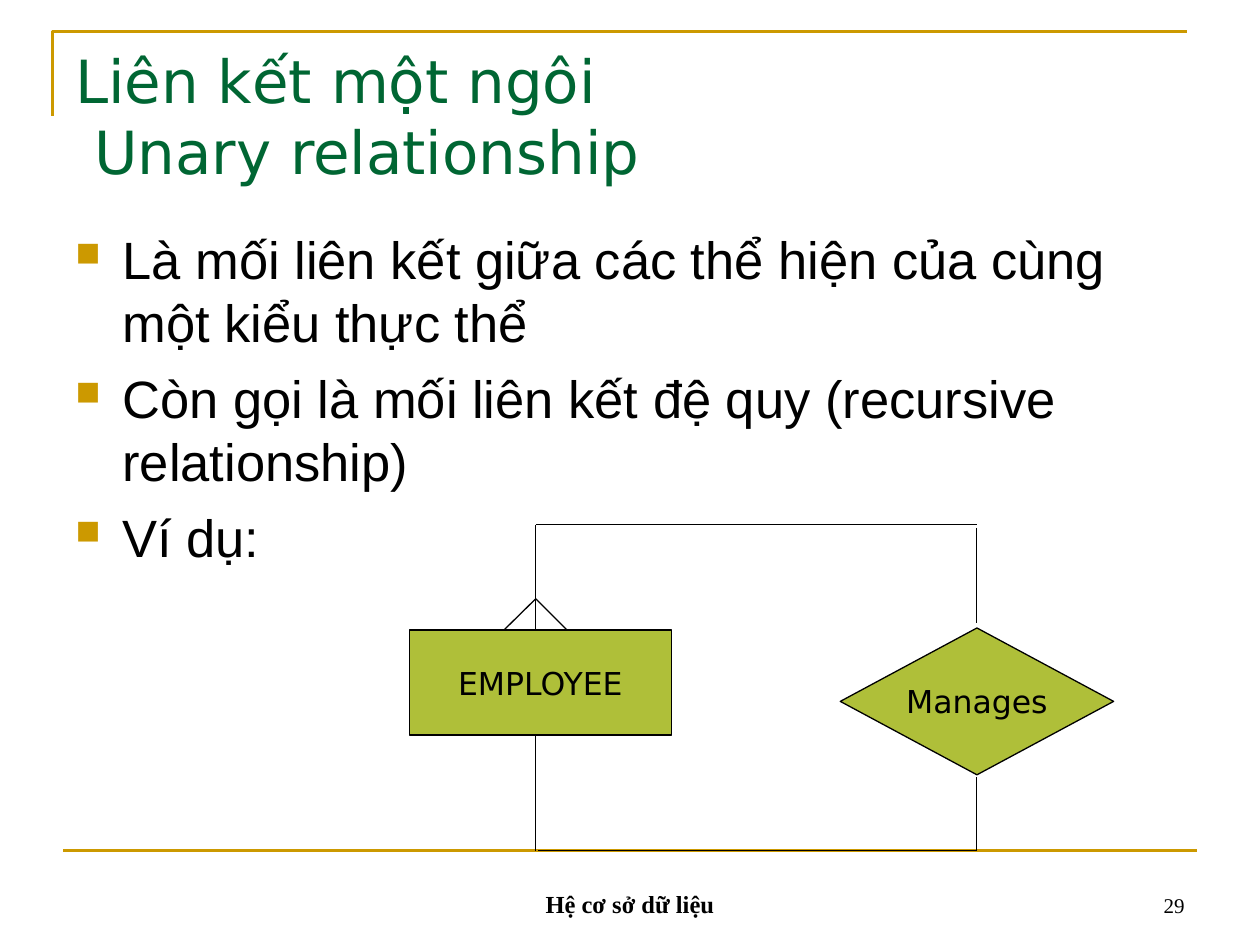
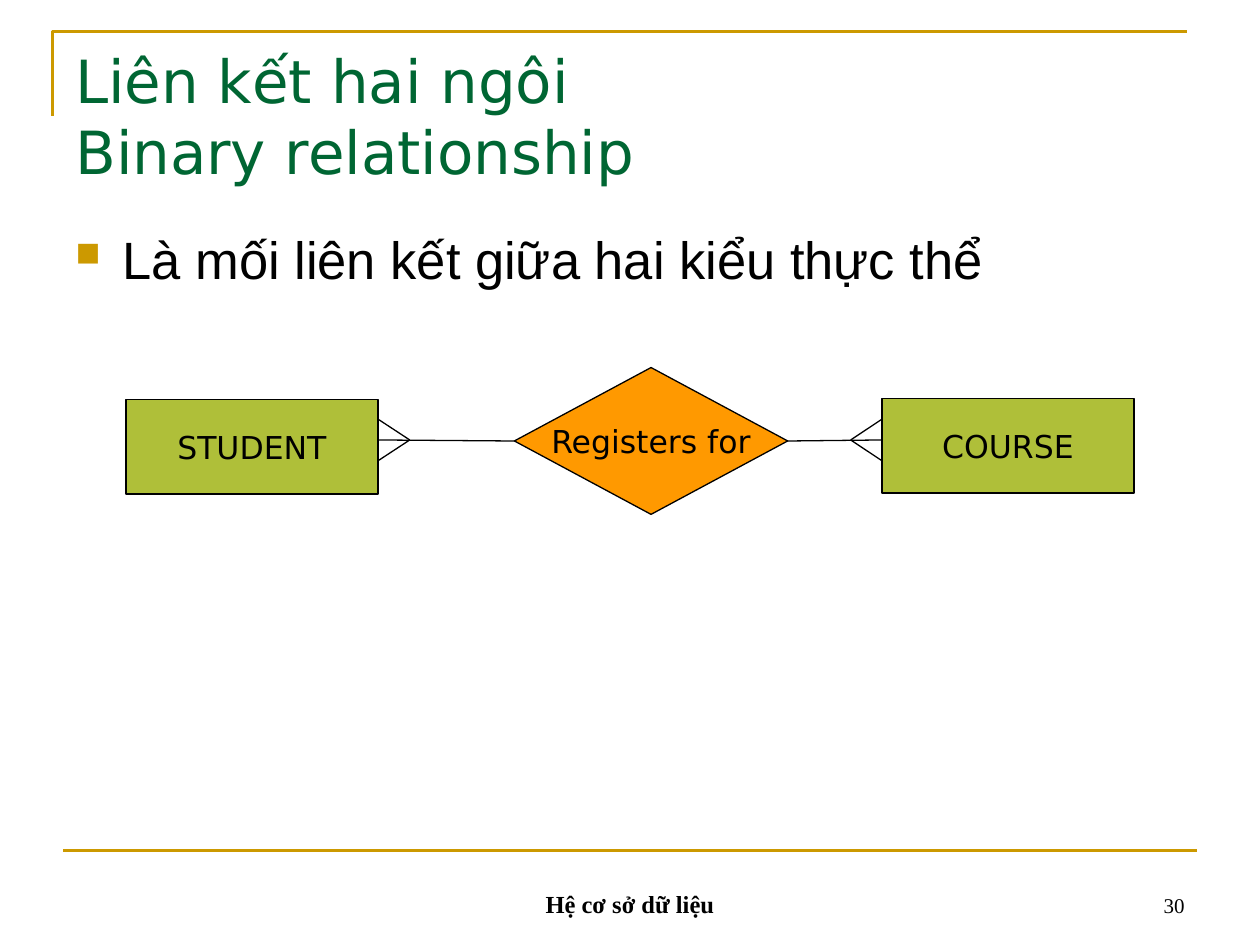
from lxml import etree
from pptx import Presentation
from pptx.dml.color import RGBColor
from pptx.enum.shapes import MSO_CONNECTOR, MSO_SHAPE
from pptx.enum.text import MSO_ANCHOR as ANC, PP_ALIGN as AL
from pptx.oxml.ns import qn
from pptx.util import Cm, Pt

GOLD = RGBColor(0xCC, 0x99, 0x00)
GREEN = RGBColor(0x00, 0x66, 0x33)
OLIVE = RGBColor(0xAF, 0xBF, 0x39)
ORANGE = RGBColor(0xFF, 0x99, 0x00)
BLACK = RGBColor(0x00, 0x00, 0x00)

# Text styles
TITLE = dict(size=Pt(34), name="DejaVu Sans", color=GREEN)
BODY = dict(size=Pt(30), name="Arial", color=BLACK)
LABEL = dict(size=Pt(18), name="DejaVu Sans", color=BLACK)
FOOTER = dict(size=Pt(14), name="Times New Roman", color=BLACK, bold=True)
NUMBER = dict(size=Pt(12), name="Times New Roman", color=BLACK)

RECT, DIAMOND = MSO_SHAPE.RECTANGLE, MSO_SHAPE.DIAMOND

# Slide content, lengths in cm
# nodes: label, shape, fill, left, top, width, height
# lines: x1, y1, x2, y2; links: node label, side, x, y of the free end
SLIDES = [
    dict(
        number=29,
        title="Liên kết một ngôi \n Unary relationship",
        bullets=["Là mối liên kết giữa các thể hiện của cùng một kiểu thực thể",
                 "Còn gọi là mối liên kết đệ quy (recursive relationship)",
                 "Ví dụ:"],
        nodes=[("EMPLOYEE", RECT, OLIVE, 8.25, 12.7, 5.29, 2.12),
               ("Manages", DIAMOND, OLIVE, 16.94, 12.66, 5.51, 2.96)],
        lines=[(10.8, 12.7, 10.8, 10.58), (10.8, 10.58, 19.69, 10.58),
               (19.69, 10.64, 19.69, 12.55), (10.8, 14.82, 10.8, 17.15),
               (10.85, 17.15, 19.69, 17.15), (19.69, 15.67, 19.69, 17.15),
               (10.8, 12.07, 10.16, 12.7), (10.8, 12.07, 11.43, 12.7)],
        links=[],
    ),
    dict(
        number=30,
        title="Liên kết hai ngôi\nBinary relationship",
        bullets=["Là mối liên kết giữa hai kiểu thực thể"],
        nodes=[("STUDENT", RECT, OLIVE, 2.54, 8.05, 5.08, 1.91),
               ("COURSE", RECT, OLIVE, 17.78, 8.03, 5.08, 1.91),
               ("Registers for", DIAMOND, ORANGE, 10.37, 7.41, 5.51, 2.96)],
        lines=[(tip, 8.87, side, y) for tip, side in ((8.26, 7.62), (17.15, 17.78))
               for y in (8.45, 9.29)],
        links=[("Registers for", 1, 7.62, 8.87), ("Registers for", 3, 17.78, 8.87)],
    ),
]


def write(sp, texts, fmt, align=AL.LEFT, anchor=ANC.TOP, wrap=True):
    tf = sp.text_frame
    tf.word_wrap, tf.vertical_anchor = wrap, anchor
    for i, text in enumerate(texts):
        p = tf.add_paragraph() if i else tf.paragraphs[0]
        p.alignment = align
        p.text = text
        for r in p.runs:
            for key, value in fmt.items():
                if key == "color":
                    r.font.color.rgb = value
                else:
                    setattr(r.font, key, value)
    return tf


def add_line(s, x1, y1, x2, y2, color=BLACK, width=0.75):
    ln = s.shapes.add_connector(MSO_CONNECTOR.STRAIGHT, Cm(x1), Cm(y1), Cm(x2), Cm(y2))
    ln.line.color.rgb, ln.line.width = color, Pt(width)
    etree.SubElement(ln._element.spPr, qn("a:effectLst"))
    return ln


prs = Presentation()
prs.slide_width, prs.slide_height = Cm(25.4), Cm(19.05)

for data in SLIDES:
    s = prs.slides.add_slide(prs.slide_layouts[6])

    # Corner bracket and bottom rule
    fb = s.shapes.build_freeform(Cm(1.06), Cm(2.33))
    fb.add_line_segments([(Cm(1.06), Cm(0.64)), (Cm(23.92), Cm(0.64))], close=False)
    sp = fb.convert_to_shape()
    sp.shadow.inherit = False
    sp.fill.background()
    sp.line.color.rgb, sp.line.width = GOLD, Pt(1.5)
    add_line(s, 1.27, 17.15, 24.13, 17.15, GOLD, 1.5)

    # Footer, slide number and title
    for box, text, fmt, align, anchor in (
            ((8.68, 17.36, 8.04, 1.27), "Hệ cơ sở dữ liệu", FOOTER, AL.CENTER, ANC.BOTTOM),
            ((18.2, 17.36, 5.93, 1.27), str(data["number"]), NUMBER, AL.RIGHT, ANC.BOTTOM),
            ((1.27, 0.76, 22.86, 3.18), data["title"], TITLE, AL.LEFT, ANC.TOP)):
        write(s.shapes.add_textbox(*map(Cm, box)), [text], fmt, align, anchor)

    # Bulleted body
    sp = s.shapes.add_textbox(Cm(1.27), Cm(4.45), Cm(22.86), Cm(12.57))
    for i, p in enumerate(write(sp, data["bullets"], BODY).paragraphs):
        p.space_before = Pt(7.5 if i else 0)
        pPr = p._p.get_or_add_pPr()
        pPr.set("marL", str(Cm(0.95)))
        pPr.set("indent", str(-Cm(0.95)))
        clr = etree.SubElement(pPr, qn("a:buClr"))
        etree.SubElement(clr, qn("a:srgbClr"), val=str(GOLD))
        etree.SubElement(pPr, qn("a:buSzPct"), val="65000")
        etree.SubElement(pPr, qn("a:buChar"), char="■")

    # Entities and relationships
    nodes = {}
    for label, kind, fill, *box in data["nodes"]:
        sp = nodes[label] = s.shapes.add_shape(kind, *map(Cm, box))
        sp.shadow.inherit = False
        sp.fill.solid()
        sp.fill.fore_color.rgb = fill
        sp.line.color.rgb, sp.line.width = BLACK, Pt(0.75)
        write(sp, [label], LABEL, AL.CENTER, ANC.MIDDLE, wrap=False)

    # Connecting lines and crow's feet
    for ends in data["lines"]:
        add_line(s, *ends)
    for label, side, x, y in data["links"]:
        add_line(s, x, y, x, y).begin_connect(nodes[label], side)

prs.save("out.pptx")
